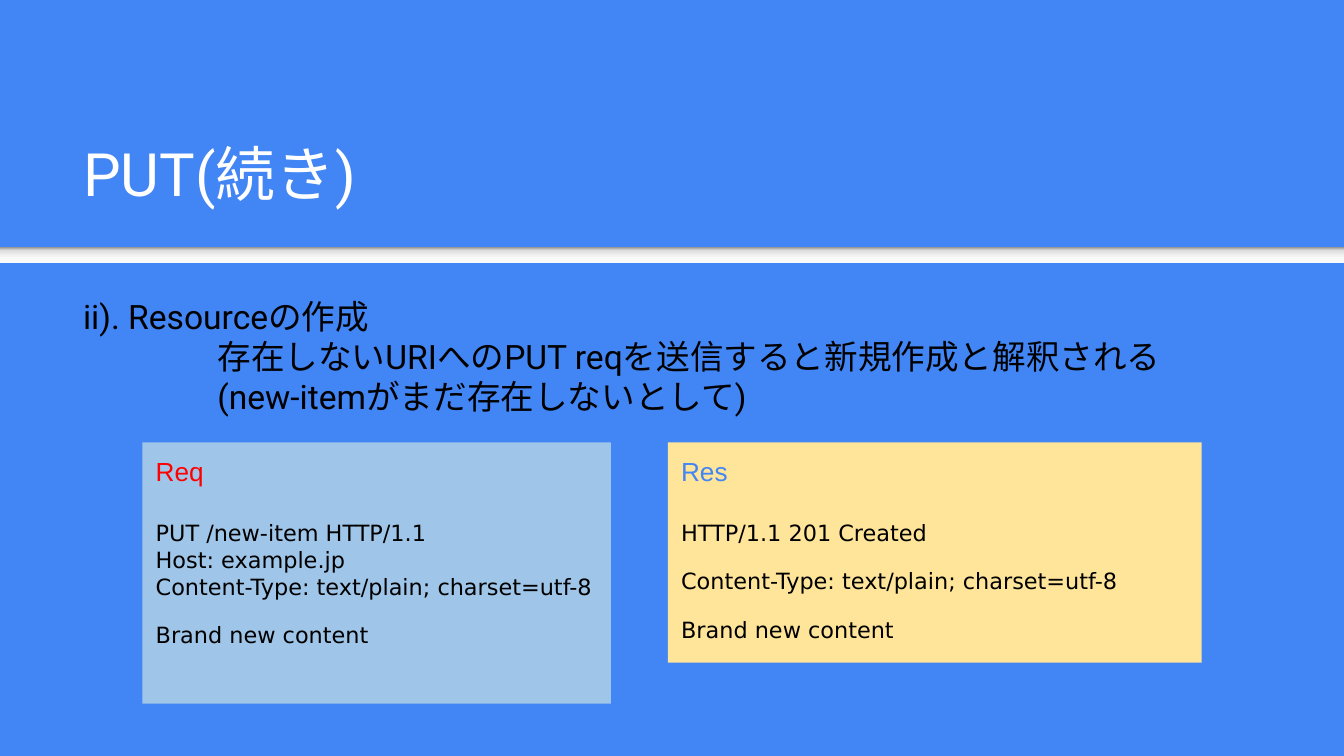
"""Builds the slide on creating a resource with an HTTP PUT request."""
from lxml import etree
from pptx import Presentation
from pptx.dml.color import RGBColor
from pptx.enum import shapes, text
from pptx.oxml import ns
from pptx.util import Pt

BLUE = RGBColor(0x42, 0x85, 0xF4)
SKY = RGBColor(0x9F, 0xC5, 0xE8)
SAND = RGBColor(0xFF, 0xE5, 0x99)
RED = RGBColor(0xFF, 0, 0)
WHITE = RGBColor(0xFF, 0xFF, 0xFF)
BLACK = RGBColor(0, 0, 0)
BAND_STOPS = [(0, "F9F9F9"), (36, "F9F9F9"), (80, "DEDEDE"), (100, "999999")]


class Deck:
    """Holds the style and the current slide."""

    inset = Pt(7.2)
    heading_font = "Roboto"
    label_font = "Arial"
    message_font = "DejaVu Sans"

    def __init__(self, width, height):
        self.prs = Presentation()
        self.prs.slide_width, self.prs.slide_height = Pt(width), Pt(height)
        self.slide = self.prs.slides.add_slide(self.prs.slide_layouts[5])
        fill = self.slide.background.fill
        fill.solid()
        fill.fore_color.rgb = BLUE

    def frame(self, owner, anchor=text.MSO_ANCHOR.TOP):
        frame = owner.text_frame
        frame.word_wrap = True
        frame.auto_size = text.MSO_AUTO_SIZE.NONE
        frame.vertical_anchor = anchor
        frame.margin_left = frame.margin_right = self.inset
        frame.margin_top = frame.margin_bottom = self.inset
        return frame

    def line(self, frame, words, font, size, color, before=0, indent=0):
        first = frame.paragraphs[0]
        paragraph = frame.add_paragraph() if first.runs else first
        paragraph.alignment = text.PP_ALIGN.LEFT
        paragraph.space_before = Pt(before)
        if indent:
            paragraph._p.get_or_add_pPr().set("marL", str(Pt(indent)))
        run = paragraph.add_run()
        run.text = words
        run.font.name, run.font.size = font, Pt(size)
        run.font.color.rgb = color

    def rectangle(self, left, top, width, height):
        box = self.slide.shapes.add_shape(
            shapes.MSO_SHAPE.RECTANGLE, Pt(left), Pt(top), Pt(width), Pt(height))
        box.shadow.inherit = False
        box.line.fill.background()
        return box

    def band(self, left, top, width, height, stops):
        band = self.rectangle(left, top, width, height)
        band.fill.gradient()
        band.fill.gradient_angle = 90
        stop_list = band._element.spPr.find(ns.qn("a:gradFill")).find(ns.qn("a:gsLst"))
        for old_stop in list(stop_list):
            stop_list.remove(old_stop)
        for percent, color in stops:
            stop = etree.SubElement(stop_list, ns.qn("a:gs"), pos=str(percent * 1000))
            etree.SubElement(stop, ns.qn("a:srgbClr"), val=color)

    def title(self, words, left, top, width, height):
        title = self.slide.shapes.title
        title.left, title.top = Pt(left), Pt(top)
        title.width, title.height = Pt(width), Pt(height)
        frame = self.frame(title, text.MSO_ANCHOR.BOTTOM)
        self.line(frame, words, self.heading_font, 32, WHITE)

    def body(self, lines, left, top, width, height):
        body = self.slide.shapes.add_textbox(Pt(left), Pt(top), Pt(width), Pt(height))
        frame = self.frame(body)
        for words, indent in lines:
            self.line(frame, words, self.heading_font, 18, BLACK, indent=indent)

    def message(self, label, label_color, fill, lines, left, top, width, height):
        card = self.rectangle(left, top, width, height)
        card.fill.solid()
        card.fill.fore_color.rgb = fill
        frame = self.frame(card)
        self.line(frame, label, self.label_font, 14, label_color)
        for words, before in lines:
            self.line(frame, words, self.message_font, 12, BLACK, before)


def main():
    deck = Deck(720, 405)
    deck.band(0, 132.5, 720, 8.7, BAND_STOPS)
    deck.title("PUT(続き)", 37.4, 58.3, 647.3, 60.5)
    deck.body([("ii). Resourceの作成", 0),
               ("存在しないURIへのPUT reqを送信すると新規作成と解釈される", 72),
               ("(new-itemがまだ存在しないとして)", 72)],
              37.4, 151.2, 647.3, 213)
    deck.message("Req", RED, SKY,
                 [("PUT /new-item HTTP/1.1", 17),
                  ("Host: example.jp", 0),
                  ("Content-Type: text/plain; charset=utf-8", 0),
                  ("Brand new content", 11.5)],
                 76.3, 237, 251, 140)
    deck.message("Res", BLUE, SAND,
                 [("HTTP/1.1 201 Created", 17),
                  ("Content-Type: text/plain; charset=utf-8", 11.5),
                  ("Brand new content", 11.5)],
                 357.8, 237, 286, 118)
    deck.prs.save("out.pptx")


if __name__ == "__main__":
    main()
